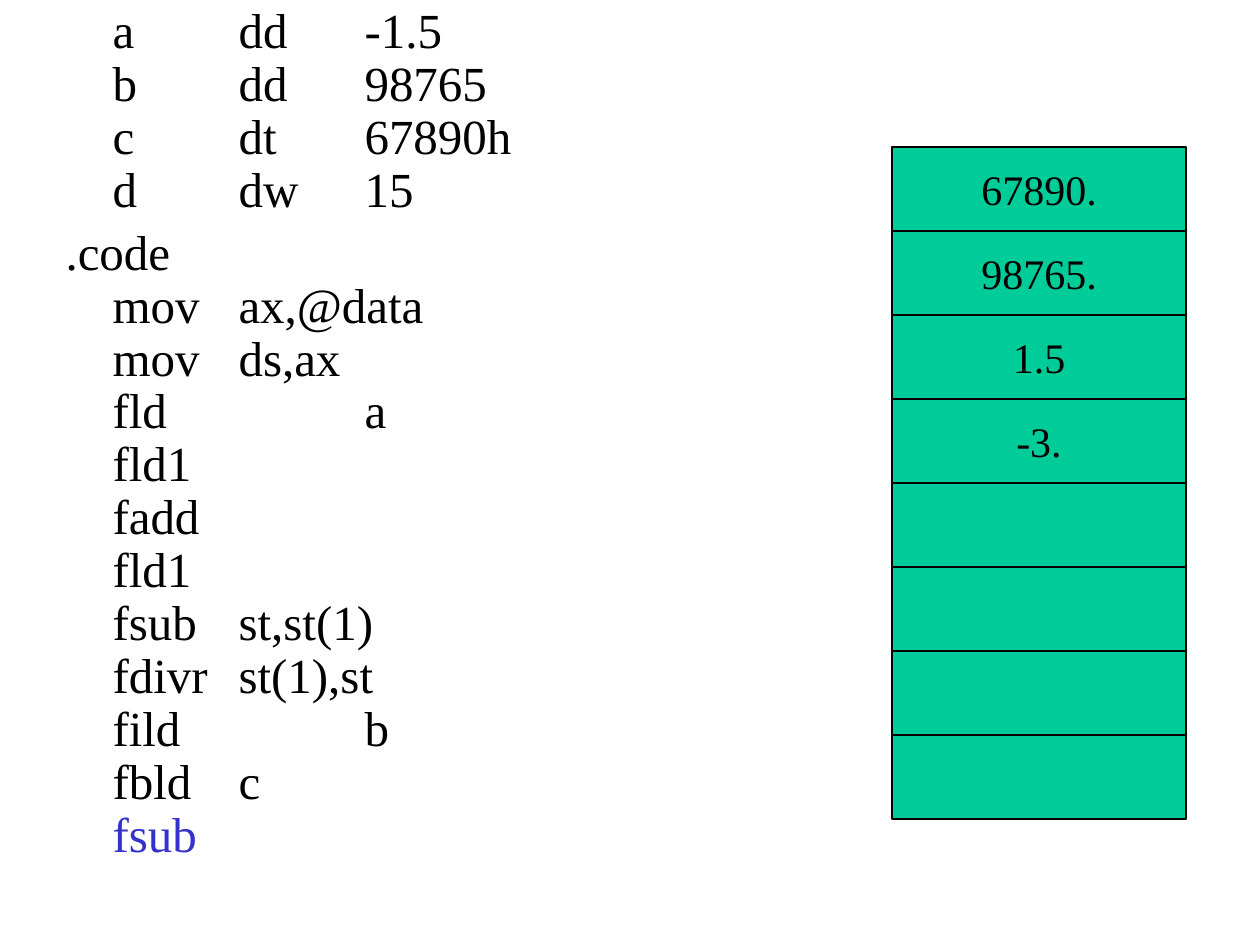
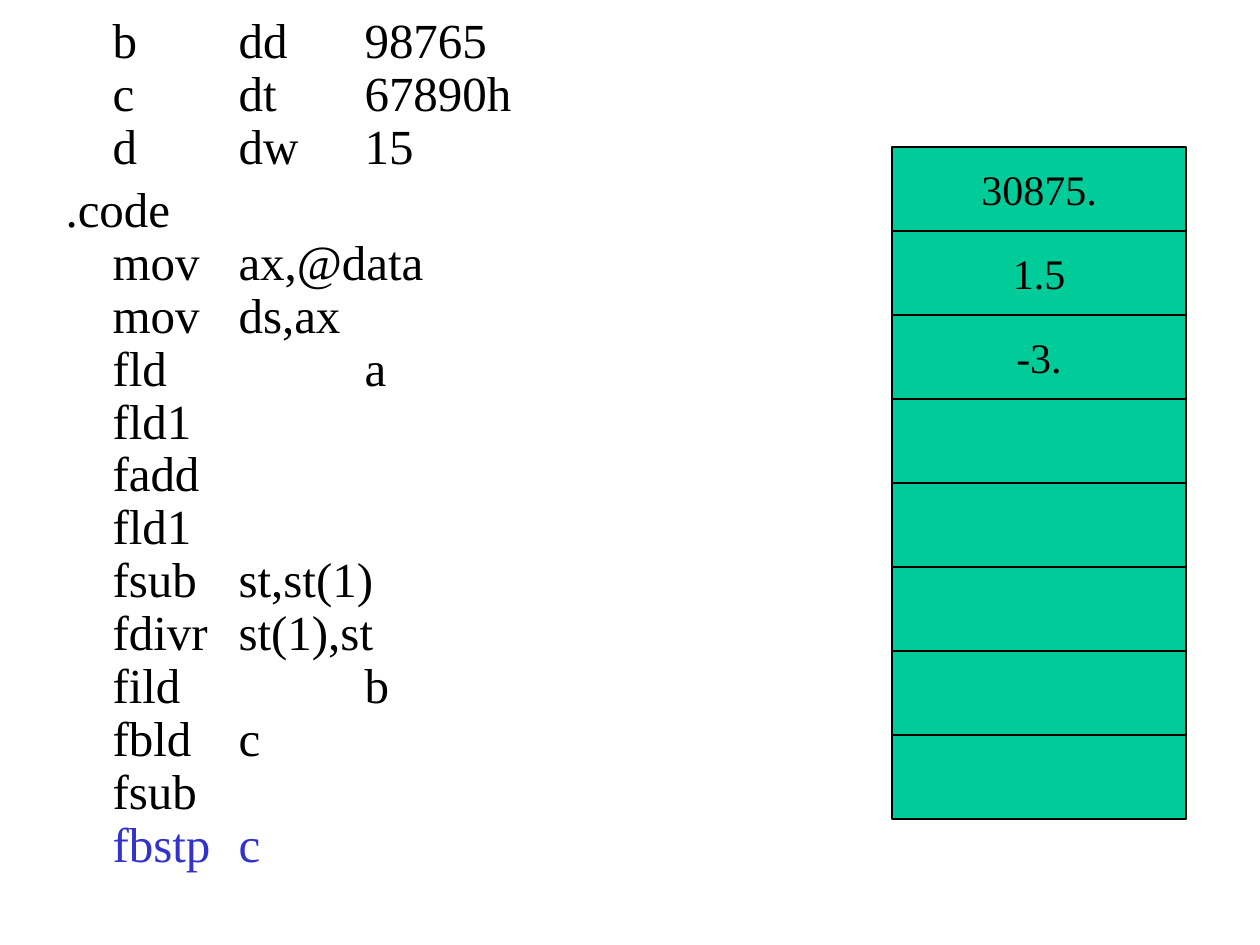
from lxml.etree import SubElement
from pptx import Presentation
from pptx.dml.color import RGBColor
from pptx.enum.shapes import MSO_SHAPE as SHAPE
from pptx.enum.text import MSO_ANCHOR as ANCHOR, MSO_AUTO_SIZE as AUTO, PP_ALIGN as ALIGN
from pptx.oxml.ns import qn
from pptx.util import Emu, Inches, Pt

SCALE = 914400 / 126
FONT = "Times New Roman"
COLORS = {"text": "000000", "current": "3333CC", "register": "00CC99", "line": "000000"}
CODE_SIZE, REGISTER_SIZE = 28, 24
INDENT = 47
REGISTERS = 8
REGISTER_LEFT, REGISTER_TOP, REGISTER_W, REGISTER_H = 892, 147, 294, 84

DATA = ["a\tdd\t-1.5", "b\tdd\t98765", "c\tdt\t67890h", "d\tdw\t15"]
CODE = [".code", "mov\tax,@data", "mov\tds,ax", "fld\t\ta", "fld1", "fadd", "fld1",
        "fsub\tst,st(1)", "fdivr\tst(1),st", "fild\t\tb", "fbld\tc", "fsub", "fbstp\tc"]


def px(n):
    """Turn pixels into EMU."""
    return Emu(round(n * SCALE))


def rgb(name):
    """Look up a colour of the palette."""
    return RGBColor.from_string(COLORS[name])


def add_text(p, text, size=CODE_SIZE, color="text"):
    """Add a formatted run to a paragraph."""
    r = p.add_run()
    r.text = text
    r.font.name = FONT
    r.font.size = Pt(size)
    r.font.color.rgb = rgb(color)


class Deck:
    """Holds the presentation and the current slide."""

    def __init__(self):
        """Start an empty 10 by 7.5 inch presentation."""
        self.prs = Presentation()
        self.prs.slide_width, self.prs.slide_height = Inches(10), Inches(7.5)

    def new_slide(self):
        """Add a slide that has only a body placeholder."""
        self.slide = self.prs.slides.add_slide(self.prs.slide_layouts[1])
        title = self.slide.shapes.title._element
        title.getparent().remove(title)

    def listing(self, data, code, top, height):
        """Write the data and code blocks, with the last instruction highlighted."""
        sp = self.slide.placeholders[1]
        sp.left, sp.top, sp.width, sp.height = px(53), px(top), px(567), px(height)
        tf = sp.text_frame
        tf.auto_size = AUTO.NONE
        tf.word_wrap = True
        self.code_block(tf.paragraphs[0], ["\t" + data[0], *data[1:]])
        self.code_block(tf.add_paragraph(), code, last_color="current")

    def code_block(self, p, lines, last_color="text"):
        """Fill one hanging paragraph with lines parted by breaks."""
        p.line_spacing = 0.9
        pPr = p._p.get_or_add_pPr()
        pPr.set("marL", str(px(INDENT)))
        pPr.set("indent", str(-px(INDENT)))
        pPr.set("defTabSz", str(Inches(1)))
        SubElement(pPr, qn("a:buNone"))
        for line in lines[:-1]:
            add_text(p, line)
            p.add_line_break()
        add_text(p, lines[-1], color=last_color)
        for br in p._p.findall(qn("a:br")):
            SubElement(br, qn("a:rPr")).set("sz", str(CODE_SIZE * 100))

    def register(self, row, value):
        """Draw one register of the stack."""
        sp = self.slide.shapes.add_shape(
            SHAPE.RECTANGLE, px(REGISTER_LEFT), px(REGISTER_TOP + row * REGISTER_H),
            px(REGISTER_W), px(REGISTER_H))
        sp.shadow.inherit = False
        sp.fill.solid()
        sp.fill.fore_color.rgb = rgb("register")
        sp.line.color.rgb = rgb("line")
        sp.line.width = Pt(0.75)
        if value:
            tf = sp.text_frame
            tf.word_wrap = False
            tf.vertical_anchor = ANCHOR.MIDDLE
            p = tf.paragraphs[0]
            p.alignment = ALIGN.CENTER
            add_text(p, value, size=REGISTER_SIZE)

    def stack(self, values):
        """Draw the register stack, filled from the top."""
        for row in range(REGISTERS):
            self.register(row, values[row] if row < len(values) else "")


deck = Deck()

deck.new_slide()
deck.listing(DATA, CODE[:-1], top=0, height=945)
deck.stack(["67890.", "98765.", "1.5", "-3."])

deck.new_slide()
deck.listing(DATA[1:], CODE, top=10, height=914)
deck.stack(["30875.", "1.5", "-3."])

deck.prs.save("out.pptx")
